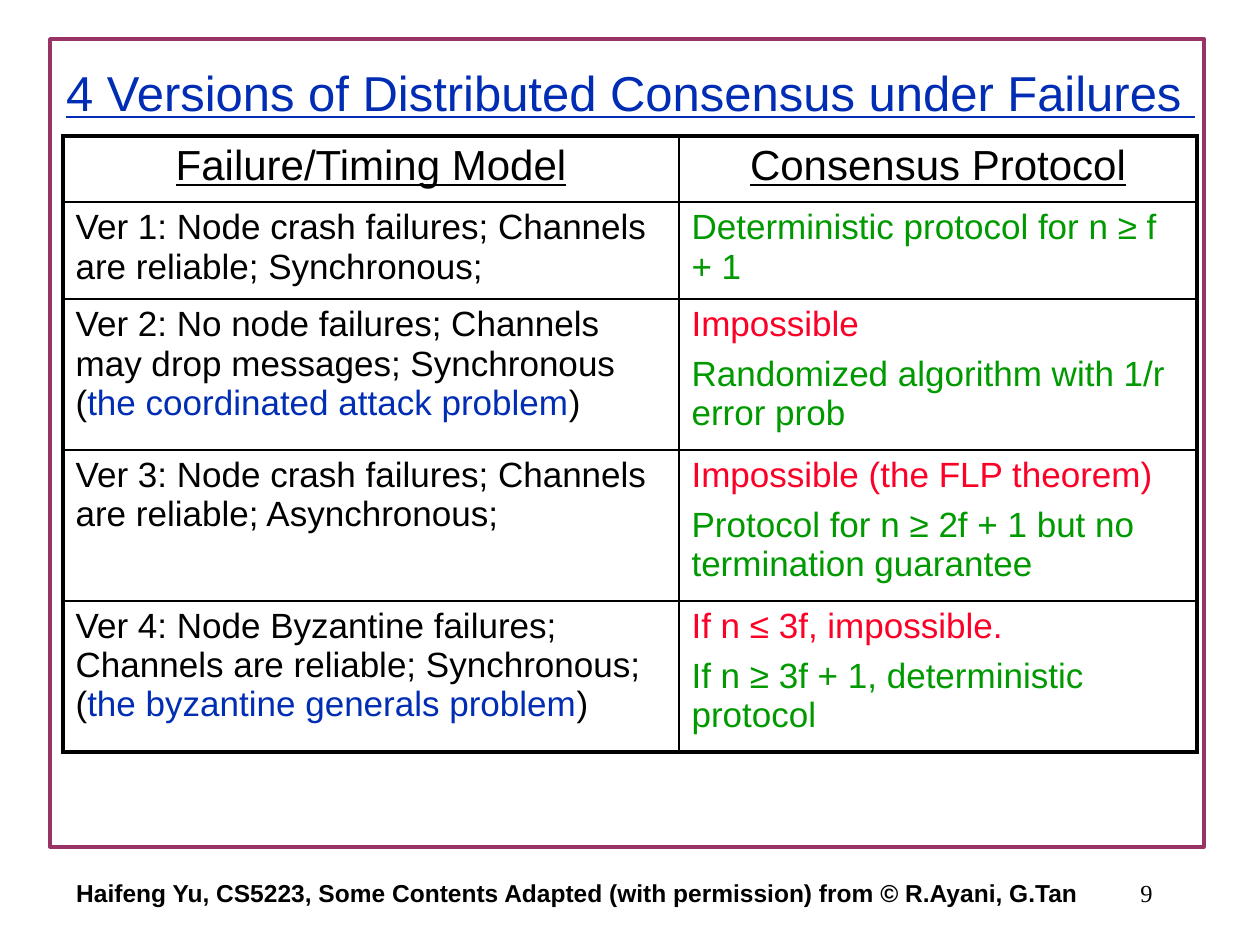
from lxml import etree
from pptx import Presentation
from pptx.dml.color import RGBColor
from pptx.enum.shapes import MSO_SHAPE
from pptx.enum.text import MSO_ANCHOR, PP_ALIGN
from pptx.oxml.ns import qn
from pptx.util import Emu, Pt

# Content: each cell is a list of paragraphs, each paragraph a list of (text, colour) runs
TITLE = "4 Versions of Distributed Consensus under Failures "
FOOTER = ("Haifeng Yu, CS5223, Some Contents Adapted (with permission) "
          "from © R.Ayani, G.Tan")
PAGE = "9"
ROWS = [
    ([[("Failure/Timing Model", "black")]],
     [[("Consensus Protocol", "black")]]),
    ([[("Ver 1: Node crash failures; Channels are reliable; Synchronous;", "black")]],
     [[("Deterministic protocol for n ≥ f + 1", "green")]]),
    ([[("Ver 2: No node failures; Channels may drop messages; Synchronous (", "black"),
       ("the coordinated attack problem", "blue"), (")", "black")]],
     [[("Impossible ", "red")],
      [("Randomized algorithm with 1/r error prob ", "green")]]),
    ([[("Ver 3: Node crash failures; Channels are reliable; Asynchronous;", "black")]],
     [[("Impossible (the FLP theorem)", "red")],
      [("Protocol for n ≥ 2f + 1 but no termination guarantee", "green")]]),
    ([[("Ver 4: Node Byzantine failures; Channels are reliable; Synchronous; (", "black"),
       ("the byzantine generals problem", "blue"), (")", "black")]],
     [[("If n ≤ 3f, impossible.", "red")],
      [("If n ≥ 3f + 1, deterministic protocol", "green")]]),
]

THEME = {
    "black": "000000", "blue": "002DB4", "red": "FC0128", "green": "009900",
    "frame": "993366", "sans": "Arial", "serif": "Times New Roman",
    "title": 28, "header": 24, "body": 20, "footer": 14,
    "outer": 2.25, "inner": 1, "gap": 6,
}

# Geometry in pixels
SCALE = 914400 / 126
SLIDE = (1260, 945)
FRAME = (50, 39, 1154, 808)
TITLE_BOX = (53, 58, 1155, 68)
FOOTER_BOX = (42, 861, 1071, 63)
PAGE_BOX = (903, 861, 262, 63)
TABLE_AT = (63, 136)
COL_W = (616, 518)
ROW_H = (66, 97, 151, 151, 151)


def px(n):
    return Emu(round(n * SCALE))


def color(name):
    return RGBColor.from_string(THEME[name])


def style(p, size, face="sans", name=None, align=PP_ALIGN.LEFT, **flags):
    p.alignment = align
    p.font.name = THEME[face]
    p.font.size = Pt(THEME[size])
    if name:
        p.font.color.rgb = color(name)
    for key, value in flags.items():
        setattr(p.font, key, value)


def add_text(s, box, text, size, wrap=False, **kw):
    tf = s.shapes.add_textbox(*map(px, box)).text_frame
    tf.word_wrap = wrap
    tf.vertical_anchor = MSO_ANCHOR.MIDDLE
    p = tf.paragraphs[0]
    p.text = text
    style(p, size, **kw)


def set_borders(cell, widths):
    tcPr = cell._tc.get_or_add_tcPr()
    for i, (tag, width) in enumerate(widths):
        ln = etree.Element(qn("a:" + tag), w=str(Pt(width)))
        fill = etree.SubElement(ln, qn("a:solidFill"))
        etree.SubElement(fill, qn("a:srgbClr"), val=THEME["black"])
        tcPr.insert(i, ln)


def fill_cell(cell, paragraphs, header):
    tf = cell.text_frame
    for i, runs in enumerate(paragraphs):
        p = tf.add_paragraph() if i else tf.paragraphs[0]
        if i:
            p.space_before = Pt(THEME["gap"])
        for text, name in runs:
            r = p.add_run()
            r.text = text
            r.font.color.rgb = color(name)
        if header:
            style(p, "header", align=PP_ALIGN.CENTER, underline=True)
        else:
            style(p, "body")


prs = Presentation()
prs.slide_width, prs.slide_height = map(px, SLIDE)
s = prs.slides.add_slide(prs.slide_layouts[6])

# Frame
frame = s.shapes.add_shape(MSO_SHAPE.RECTANGLE, *map(px, FRAME))
frame.shadow.inherit = False
frame.fill.background()
frame.line.color.rgb = color("frame")
frame.line.width = Pt(2)

# Page number, footer and title
add_text(s, PAGE_BOX, PAGE, "footer", face="serif", name="black", align=PP_ALIGN.RIGHT)
add_text(s, FOOTER_BOX, FOOTER, "footer", name="black", align=PP_ALIGN.CENTER, bold=True)
add_text(s, TITLE_BOX, TITLE, "title", wrap=True, name="blue",
         align=PP_ALIGN.CENTER, underline=True)

# Table with a heavy outline and thin inner rules
size = (sum(COL_W), sum(ROW_H))
table = s.shapes.add_table(len(ROW_H), len(COL_W), *map(px, TABLE_AT + size)).table
table.first_row = table.horz_banding = False
for col, w in zip(table.columns, COL_W):
    col.width = px(w)
for row, h in zip(table.rows, ROW_H):
    row.height = px(h)

last_row, last_col = len(ROW_H) - 1, len(COL_W) - 1
for i, row in enumerate(ROWS):
    for j, paragraphs in enumerate(row):
        cell = table.cell(i, j)
        cell.fill.background()
        edges = (("lnL", j == 0), ("lnR", j == last_col),
                 ("lnT", i == 0), ("lnB", i == last_row))
        set_borders(cell, [(tag, THEME["outer" if edge else "inner"])
                           for tag, edge in edges])
        fill_cell(cell, paragraphs, header=i == 0)

prs.save("out.pptx")
